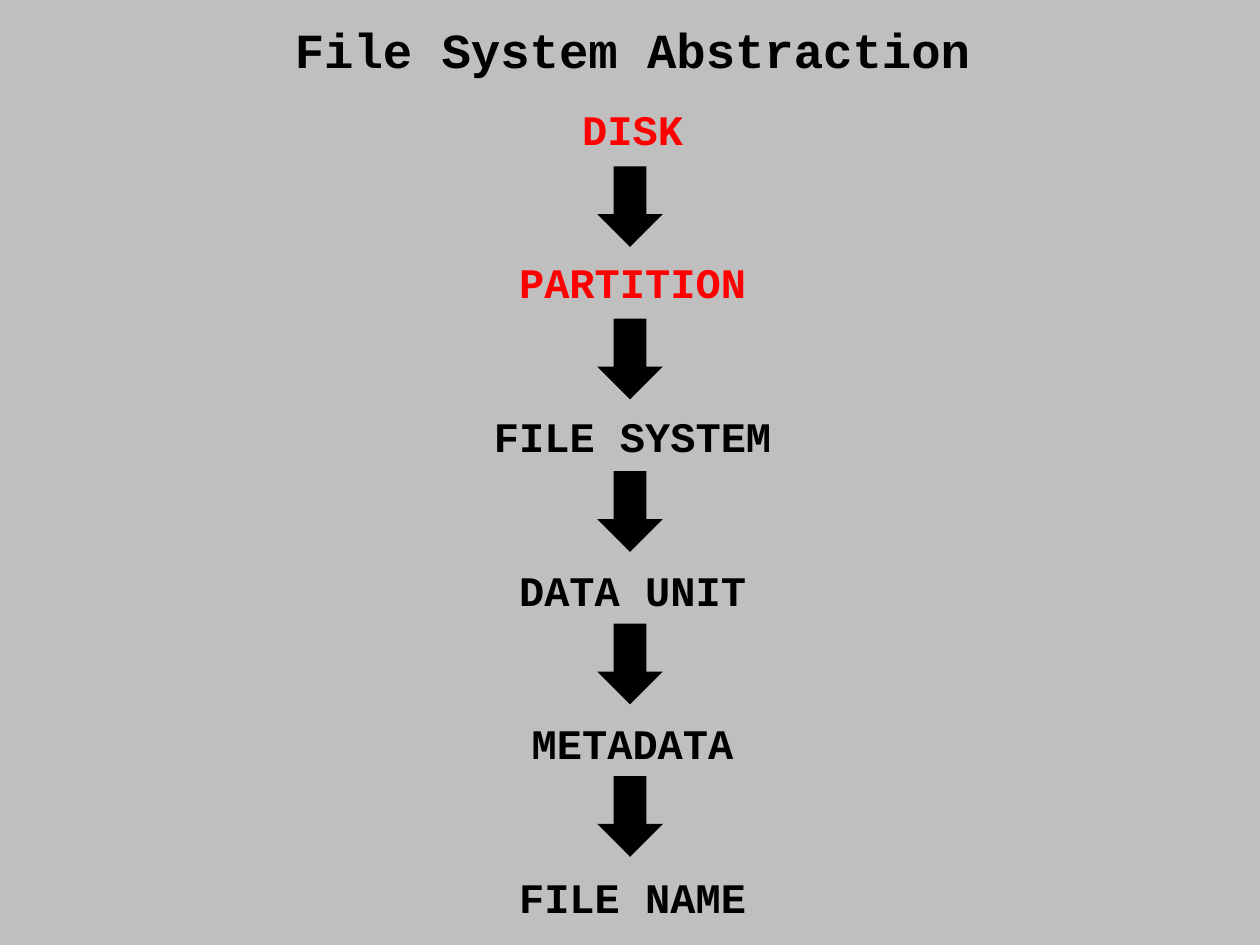
"""Build the File System Abstraction slide: six layers joined by down arrows."""
import pptx
import pptx.util
import pptx.dml.color
import pptx.enum.shapes
import pptx.enum.text
from dataclasses import dataclass

Inches = pptx.util.Inches
Pt = pptx.util.Pt
RGB = pptx.dml.color.RGBColor
Fit = pptx.enum.text.MSO_AUTO_SIZE


@dataclass
class Theme:
    back: RGB = RGB(0xBF, 0xBF, 0xBF)
    ink: RGB = RGB(0, 0, 0)
    hot: RGB = RGB(0xFF, 0, 0)
    face: str = "Courier New"
    head: int = 28
    label: int = 24


theme = Theme()


def write(para, text, size=theme.label, color=theme.ink, gap=0):
    para.text = text
    para.alignment = pptx.enum.text.PP_ALIGN.CENTER
    para.space_before = Pt(gap)
    font = para.runs[0].font
    font.name = theme.face
    font.size = Pt(size)
    font.bold = True
    font.color.rgb = color


deck = pptx.Presentation()
deck.slide_width = Inches(10)
deck.slide_height = Inches(7.5)
slide = deck.slides.add_slide(deck.slide_layouts[5])
slide.background.fill.solid()
slide.background.fill.fore_color.rgb = theme.back

title = slide.shapes.title
title.left, title.top = Inches(0.57), Inches(0.07)
title.width, title.height = Inches(8.9), Inches(0.64)
title.text_frame.auto_size = Fit.NONE
title.text_frame.vertical_anchor = pptx.enum.text.MSO_ANCHOR.MIDDLE
write(title.text_frame.paragraphs[0], "File System Abstraction", size=theme.head)

layers = [
    ("DISK", theme.hot),
    ("PARTITION", theme.hot),
    ("FILE SYSTEM", theme.ink),
    ("DATA UNIT", theme.ink),
    ("METADATA", theme.ink),
    ("FILE NAME", theme.ink),
]
box = slide.shapes.add_textbox(Inches(3.81), Inches(0.77), Inches(2.42), Inches(6.56))
frame = box.text_frame
frame.word_wrap = False
frame.auto_size = Fit.SHAPE_TO_FIT_TEXT
for row, (name, color) in enumerate(layers):
    para = frame.add_paragraph() if row else frame.paragraphs[0]
    write(para, name, color=color, gap=59 if row else 0)

for step in range(len(layers) - 1):
    arrow = slide.shapes.add_shape(
        pptx.enum.shapes.MSO_SHAPE.DOWN_ARROW,
        Inches(4.74), Inches(1.32 + 1.21 * step), Inches(0.52), Inches(0.64))
    arrow.shadow.inherit = False
    arrow.fill.solid()
    arrow.fill.fore_color.rgb = theme.ink
    arrow.line.fill.background()

deck.save("out.pptx")
